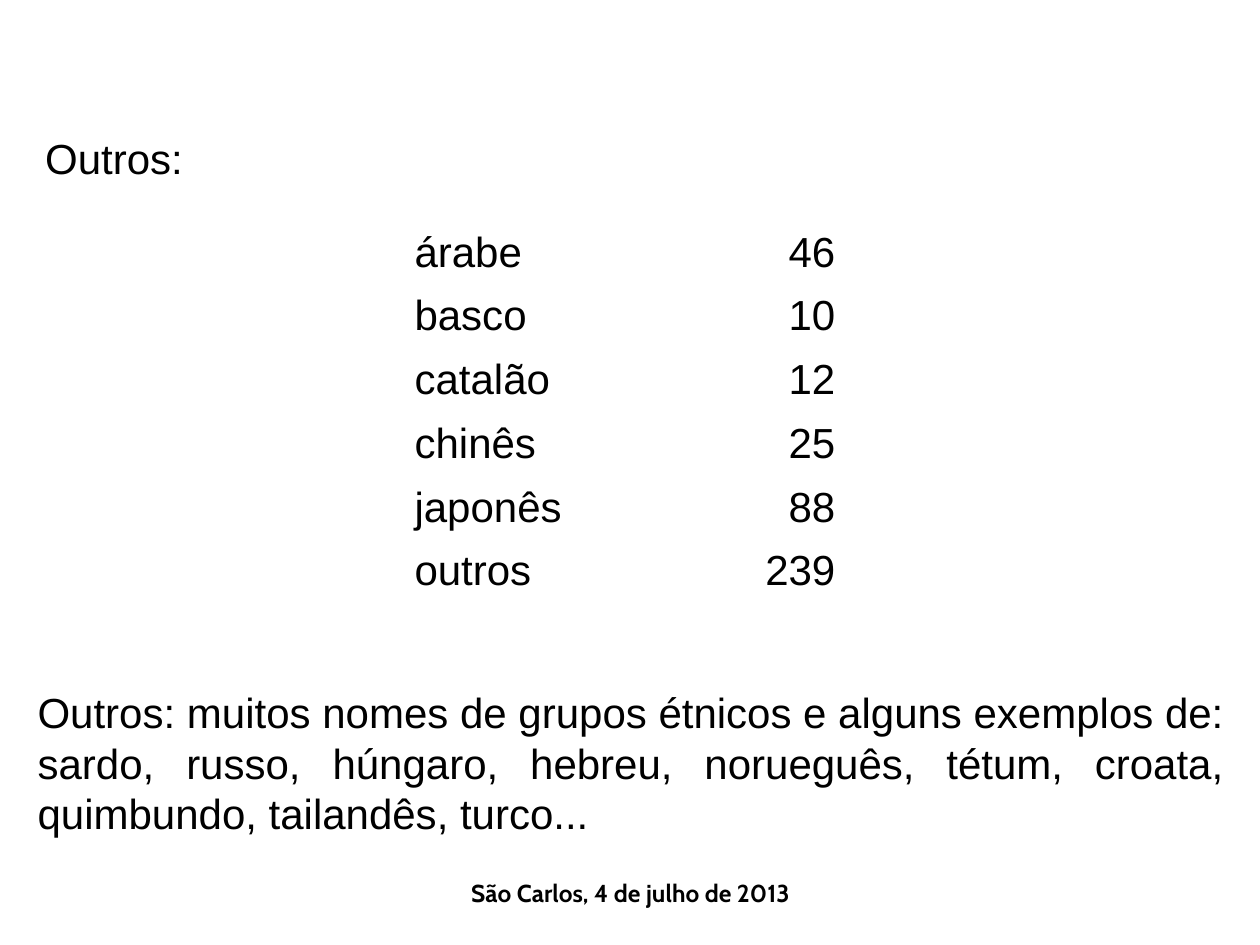
from pptx import Presentation
from pptx.dml.color import RGBColor
from pptx.enum.text import MSO_ANCHOR, PP_ALIGN
from pptx.util import Inches, Pt

BLACK = RGBColor(0x00, 0x00, 0x00)
LEFT, RIGHT = PP_ALIGN.LEFT, PP_ALIGN.RIGHT
CENTER, JUSTIFY = PP_ALIGN.CENTER, PP_ALIGN.JUSTIFY
TOP, MIDDLE, BOTTOM = MSO_ANCHOR.TOP, MSO_ANCHOR.MIDDLE, MSO_ANCHOR.BOTTOM

LANGUAGES = [
    ("árabe", 46),
    ("basco", 10),
    ("catalão", 12),
    ("chinês", 25),
    ("japonês", 88),
    ("outros", 239),
]
NOTE = (
    "Outros: muitos nomes de grupos étnicos e alguns exemplos de: sardo, russo, "
    "húngaro, hebreu, norueguês, tétum, croata, quimbundo, tailandês, turco..."
)


def write(tf, text, align=LEFT, font="Arial", size=24, bold=False):
    """Put one formatted paragraph in a text frame."""
    p = tf.paragraphs[0]
    p.text = text
    p.alignment = align
    f = p.runs[0].font
    f.name, f.size, f.bold = font, Pt(size), bold
    f.color.rgb = BLACK
    return p


def add_text(s, box, text, anchor=MIDDLE, wrap=True, **style):
    """Add a text box at the given box in inches."""
    tf = s.shapes.add_textbox(*map(Inches, box)).text_frame
    tf.word_wrap = wrap
    tf.vertical_anchor = anchor
    write(tf, text, **style)


def add_counts(s, box):
    """Add the table of languages and their counts, with a taller first row."""
    table = s.shapes.add_table(len(LANGUAGES), 2, *map(Inches, box)).table
    table.first_row = table.horz_banding = False
    for column, share in zip(table.columns, (0.64, 0.36)):
        column.width = Inches(box[2] * share)
    row_height = 0.506
    for row in table.rows:
        row.height = Inches(row_height)
    table.rows[0].height = Inches(box[3] - row_height * (len(LANGUAGES) - 1))
    for i, record in enumerate(LANGUAGES):
        for j, (value, align) in enumerate(zip(record, (LEFT, RIGHT))):
            cell = table.cell(i, j)
            cell.fill.background()
            cell.vertical_anchor = BOTTOM
            write(cell.text_frame, str(value), align).line_spacing = 0.93


def main():
    """Build the slide and save it."""
    prs = Presentation()
    prs.slide_width, prs.slide_height = Inches(10), Inches(7.5)
    s = prs.slides.add_slide(prs.slide_layouts[6])
    add_text(s, (0.26, 1, 1.29, 0.5), "Outros:", wrap=False)
    add_counts(s, (3.19, 1.62, 3.54, 3.15))
    add_text(s, (0.2, 5.4, 9.61, 1.3), NOTE, align=JUSTIFY)
    add_text(s, (3.42, 6.92, 3.17, 0.43), "São Carlos, 4 de julho de 2013",
             anchor=TOP, align=CENTER, font="Cabin", size=14, bold=True)
    prs.save("out.pptx")


if __name__ == "__main__":
    main()
